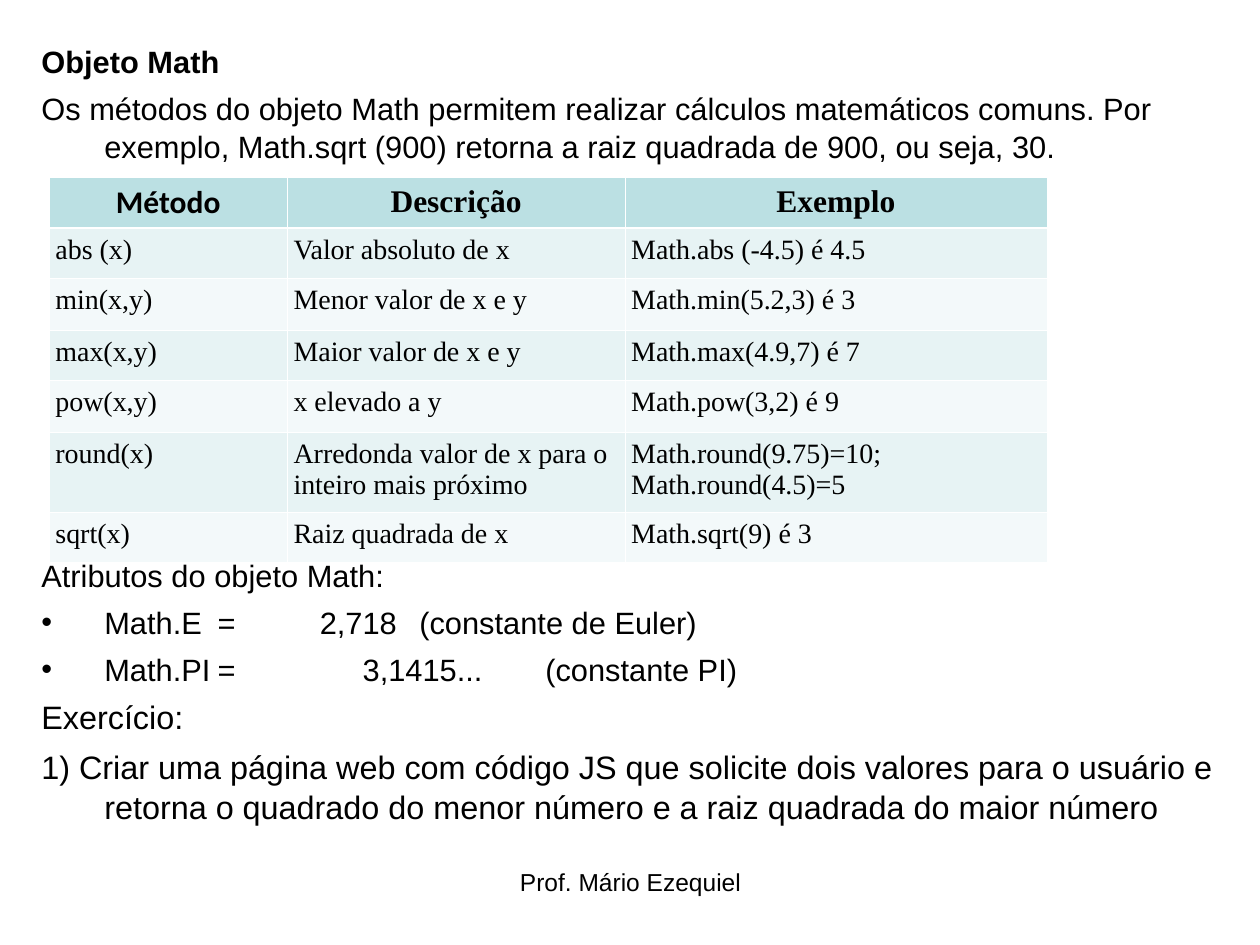
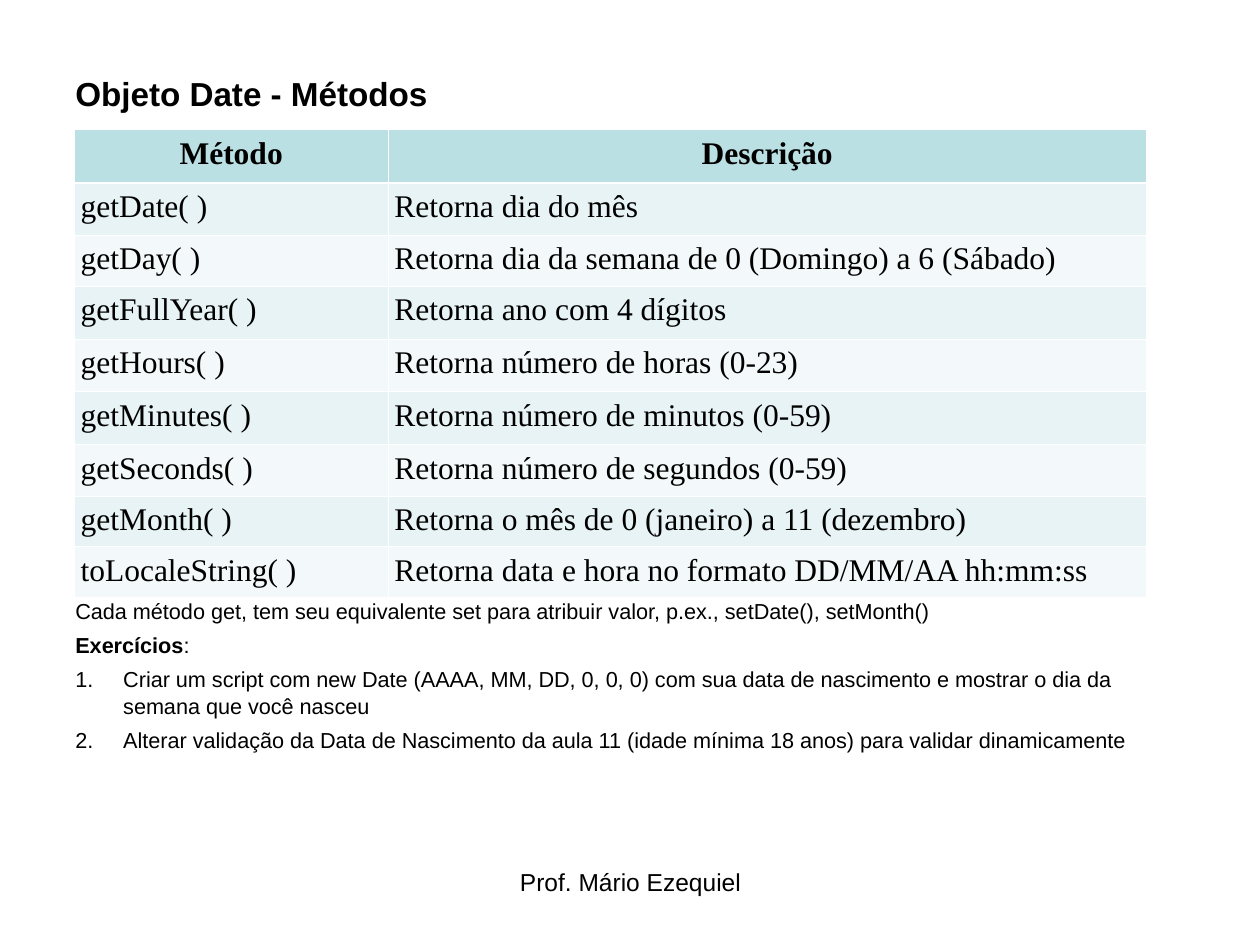
from lxml import etree
from pptx import Presentation
from pptx.dml.color import RGBColor
from pptx.enum import text
from pptx.oxml import ns
from pptx.util import Inches, Pt

BLACK = RGBColor(0x00, 0x00, 0x00)
WHITE = RGBColor(0xFF, 0xFF, 0xFF)
HEADER_FILL = RGBColor(0xBB, 0xE0, 0xE3)
BAND_FILLS = (RGBColor(0xE7, 0xF3, 0xF4), RGBColor(0xF3, 0xF9, 0xFA))
BODY_FONT = "Arial"
TABLE_FONT = "Times New Roman"
THIN, THICK = 0.45, 1.47

MATH_ROWS = [
    ("Método", "Descrição", "Exemplo"),
    ("abs (x)", "Valor absoluto de x", "Math.abs (-4.5) é 4.5"),
    ("min(x,y)", "Menor valor de x e y", "Math.min(5.2,3) é 3"),
    ("max(x,y)", "Maior valor de x e y", "Math.max(4.9,7) é 7"),
    ("pow(x,y)", "x elevado a y", "Math.pow(3,2) é 9"),
    ("round(x)", "Arredonda valor de x para o inteiro mais próximo",
     "Math.round(9.75)=10;\nMath.round(4.5)=5"),
    ("sqrt(x)", "Raiz quadrada de x", "Math.sqrt(9) é 3"),
]
DATE_ROWS = [
    ("Método", "Descrição"),
    ("getDate( )", "Retorna dia do mês"),
    ("getDay( )", "Retorna dia da semana de 0 (Domingo) a 6 (Sábado)"),
    ("getFullYear( )", "Retorna ano com 4 dígitos"),
    ("getHours( )", "Retorna número de horas (0-23)"),
    ("getMinutes( )", "Retorna número de minutos (0-59)"),
    ("getSeconds( )", "Retorna número de segundos (0-59)"),
    ("getMonth( )", "Retorna o mês de 0 (janeiro) a 11 (dezembro)"),
    ("toLocaleString( )", "Retorna data e hora no formato DD/MM/AA hh:mm:ss"),
]


def set_font(paragraph, size, name=BODY_FONT, bold=False):
    font = paragraph.font
    font.size, font.name, font.bold = Pt(size), name, bold
    font.color.rgb = BLACK


def add_text_frame(slide, left, top, width, height):
    box = slide.shapes.add_textbox(*map(Inches, (left, top, width, height)))
    box.text_frame.word_wrap = True
    return box.text_frame


def add_paragraph(frame, content, size, indent, before=0, bold=False):
    first = frame.paragraphs[0]
    paragraph = frame.add_paragraph() if first.runs else first
    paragraph.line_spacing = 1.04
    paragraph.space_before = Pt(before)
    properties = paragraph._p.get_or_add_pPr()
    properties.set("marL", str(Inches(indent)))
    properties.set("indent", str(-Inches(indent)))
    paragraph.add_run().text = content
    set_font(paragraph, size, bold=bold)
    return paragraph


def insert_before_font(paragraph, tag, **attributes):
    element = etree.Element(ns.qn(tag), attributes)
    paragraph._p.pPr.find(ns.qn("a:defRPr")).addprevious(element)
    return element


def add_bullet(paragraph):
    insert_before_font(paragraph, "a:buFont", typeface=BODY_FONT)
    insert_before_font(paragraph, "a:buChar", char="•")


def add_number(paragraph):
    insert_before_font(paragraph, "a:buFont", typeface=BODY_FONT)
    insert_before_font(paragraph, "a:buAutoNum", type="arabicPeriod")


def add_tab_stops(paragraph, positions):
    tabs = insert_before_font(paragraph, "a:tabLst")
    for position in positions:
        etree.SubElement(tabs, ns.qn("a:tab"), pos=str(Inches(position)), algn="l")


def add_border(cell, side, width):
    line = etree.SubElement(cell._tc.get_or_add_tcPr(), ns.qn(f"a:ln{side}"),
                            w=str(Pt(width)))
    fill = etree.SubElement(line, ns.qn("a:solidFill"))
    etree.SubElement(fill, ns.qn("a:srgbClr"), val=str(WHITE))


def style_cell(cell, row, size):
    cell.margin_left = cell.margin_right = Inches(0.05)
    cell.margin_top = cell.margin_bottom = Inches(0.05)
    widths = {"L": THIN, "R": THIN,
              "T": THICK if row == 1 else THIN,
              "B": THICK if row == 0 else THIN}
    for side, width in widths.items():
        add_border(cell, side, width)
    cell.fill.solid()
    cell.fill.fore_color.rgb = BAND_FILLS[(row - 1) % 2] if row else HEADER_FILL
    for paragraph in cell.text_frame.paragraphs:
        set_font(paragraph, size if row else 18, TABLE_FONT, bold=row == 0)
        if row == 0:
            paragraph.alignment = text.PP_ALIGN.CENTER


def add_method_table(slide, rows, left, top, widths, heights, size):
    frame = slide.shapes.add_table(
        len(rows), len(widths), Inches(left), Inches(top),
        Inches(sum(widths)), Inches(sum(heights)))
    table = frame.table
    for column, width in zip(table.columns, widths):
        column.width = Inches(width)
    for row, (values, height) in enumerate(zip(rows, heights)):
        table.rows[row].height = Inches(height)
        for column, value in enumerate(values):
            cell = table.cell(row, column)
            cell.text = value
            style_cell(cell, row, size)
    return table


def add_slide(presentation):
    slide = presentation.slides.add_slide(presentation.slide_layouts[6])
    footer = add_text_frame(slide, 3.42, 6.83, 3.17, 0.52).paragraphs[0]
    footer.text = "Prof. Mário Ezequiel"
    footer.alignment = text.PP_ALIGN.CENTER
    set_font(footer, 14)
    return slide


def build_math_slide(presentation):
    slide = add_slide(presentation)
    body = add_text_frame(slide, 0.23, 0.28, 9.53, 6.51)
    add_paragraph(body, "Objeto Math", 17.6, 0.5, bold=True)
    add_paragraph(body, "Os métodos do objeto Math permitem realizar cálculos "
                  "matemáticos comuns. Por exemplo, Math.sqrt (900) retorna a "
                  "raiz quadrada de 900, ou seja, 30.", 17.6, 0.5, 4.8)
    add_paragraph(body, "Atributos do objeto Math:", 17.6, 0.5, 223)
    constants = [("Math.E\t=\t2,718\t(constante de Euler)", 2.21),
                 ("Math.PI\t=\t3,1415...\t(constante PI)", 2.55)]
    for content, note_position in constants:
        paragraph = add_paragraph(body, content, 17.6, 0.5, 4.8)
        add_bullet(paragraph)
        add_tab_stops(paragraph, (1.05, 1.4, note_position))
    add_paragraph(body, "Exercício:", 18.5, 0.5, 5)
    add_paragraph(body, "1) Criar uma página web com código JS que solicite dois "
                  "valores para o usuário e retorna o quadrado do menor número "
                  "e a raiz quadrada do maior número", 18.5, 0.5, 5)
    table = add_method_table(slide, MATH_ROWS, 0.39, 1.41, (1.89, 2.68, 3.35),
                             (0.4, 0.4, 0.41, 0.4, 0.41, 0.59, 0.4), 16)
    table.cell(0, 0).text_frame.paragraphs[0].font.name = "Calibri"


def build_date_slide(presentation):
    slide = add_slide(presentation)
    body = add_text_frame(slide, 0.5, 4.69, 9, 1.53)
    add_paragraph(body, "Cada método get, tem seu equivalente set para atribuir "
                  "valor, p.ex., setDate(), setMonth()", 12.4, 0.38)
    heading = add_paragraph(body, "Exercícios", 12.4, 0.38, 4)
    heading.runs[0].font.bold = True
    heading.add_run().text = ":"
    exercises = [
        "Criar um script com new Date (AAAA, MM, DD, 0, 0, 0) com sua data de "
        "nascimento e mostrar o dia da semana que você nasceu",
        "Alterar validação da Data de Nascimento da aula 11 (idade mínima 18 "
        "anos) para validar dinamicamente",
    ]
    for exercise in exercises:
        add_number(add_paragraph(body, exercise, 12.4, 0.38, 4))
    add_method_table(slide, DATE_ROWS, 0.59, 1.03, (2.49, 6.02),
                     (0.42, 0.42, 0.39, 0.42, 0.42, 0.42, 0.41, 0.39, 0.39), 18)
    title = add_text_frame(slide, 0.5, 0.52, 9, 0.55)
    add_paragraph(title, "Objeto Date - Métodos", 19, 0.38, bold=True)


def main():
    presentation = Presentation()
    presentation.slide_width = Inches(10)
    presentation.slide_height = Inches(7.5)
    build_math_slide(presentation)
    build_date_slide(presentation)
    presentation.save("out.pptx")


if __name__ == "__main__":
    main()
